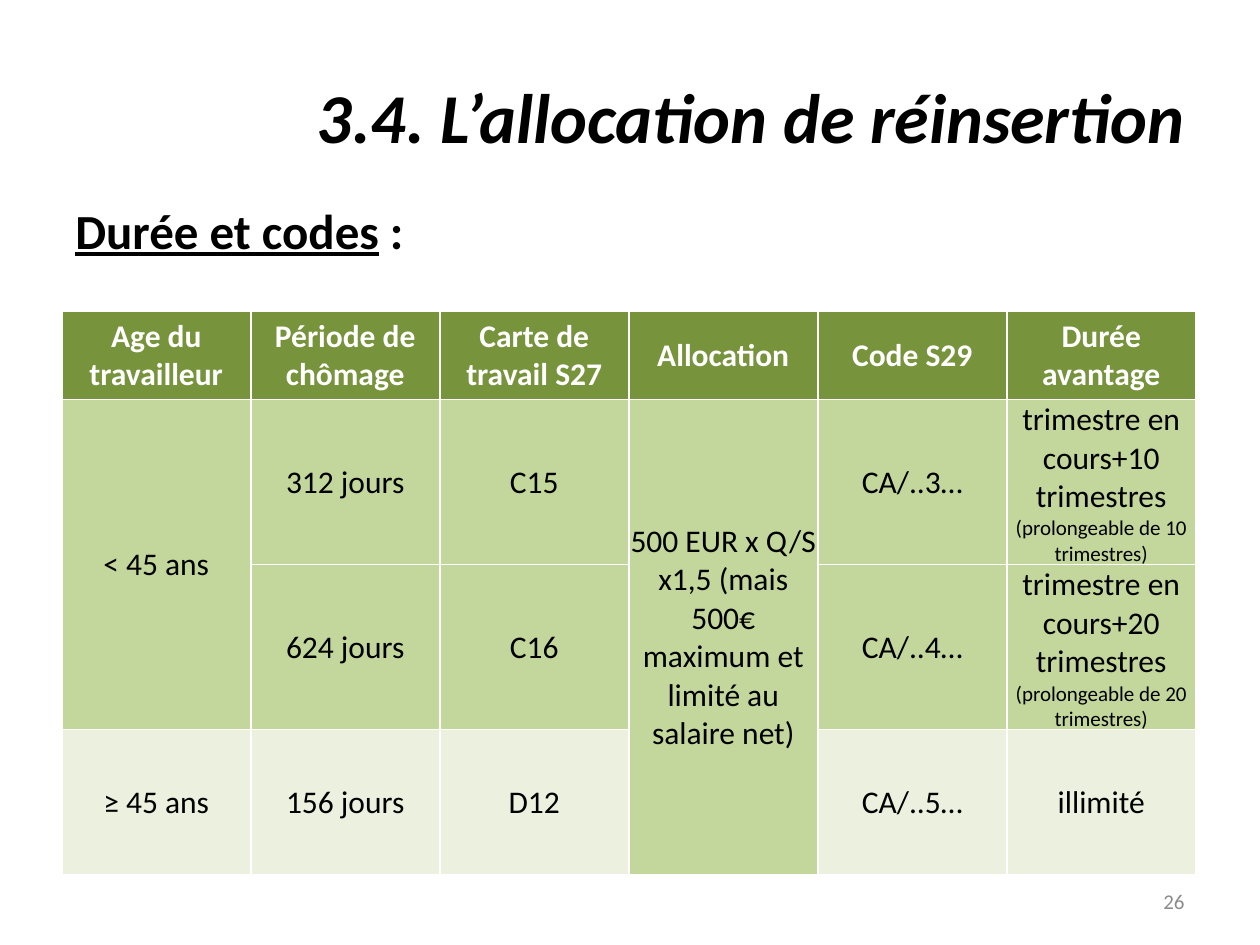
import pptx
import pptx.dml.color
import pptx.enum.text
import pptx.oxml
import pptx.oxml.ns
import pptx.util

Inches = pptx.util.Inches
Align = pptx.enum.text.PP_ALIGN
Anchor = pptx.enum.text.MSO_ANCHOR

# Content: a cell is a list of (text, size) runs, None lies under a merged cell
TITLE = "3.4. L’allocation de réinsertion"
HEAD = ["Age du travailleur", "Période de chômage", "Carte de travail S27",
        "Allocation", "Code S29", "Durée avantage"]
PAY = "500 EUR x Q/S x1,5 (mais 500€ maximum et limité au salaire net)"
BODY = [
    ["< 45 ans", "312 jours", "C15", PAY, "CA/..3…",
     ("trimestre en cours+10 trimestres ", "(prolongeable de 10 trimestres)")],
    [None, "624 jours", "C16", None, "CA/..4…",
     ("trimestre en cours+20 trimestres ", "(prolongeable de 20 trimestres)")],
    ["≥ 45 ans", "156 jours", "D12", None, "CA/..5…", "illimité"],
]
FILLS = ["77933C", "C3D69B", "C3D69B", "EBF1DE"]
HIGHS = [0.7, 1.22, 1.22, 1.15]
WIDE = 1.5
SPANS = [((1, 0), (2, 0)), ((1, 3), (3, 3))]


def color(code):
    return pptx.dml.color.RGBColor.from_string(code)


def style(run, size, code="000000", bold=False, italic=False, under=False):
    font = run.font
    font.name, font.size = "Calibri", pptx.util.Pt(size)
    font.bold, font.italic, font.underline = bold, italic, under
    font.color.rgb = color(code)


def label(slide, area, text, align, anchor):
    box = slide.shapes.add_textbox(*map(Inches, area))
    frame = box.text_frame
    frame.word_wrap = True
    frame.vertical_anchor = anchor
    frame.text = text
    para = frame.paragraphs[0]
    para.alignment = align
    return para


def border(cell):
    props = cell._tc.get_or_add_tcPr()
    space = pptx.oxml.ns.nsdecls("a")
    for spot, side in enumerate("LRTB"):
        props.insert(spot, pptx.oxml.parse_xml(
            f'<a:ln{side} {space} w="12700"><a:solidFill>'
            f'<a:srgbClr val="FFFFFF"/></a:solidFill></a:ln{side}>'))


def fill_cell(cell, text, back, head):
    cell.fill.solid()
    cell.fill.fore_color.rgb = color(back)
    border(cell)
    cell.vertical_anchor = Anchor.MIDDLE
    cell.margin_left = cell.margin_right = cell.margin_top = Inches(0.01)
    cell.margin_bottom = 0
    if text is None:
        return
    parts = (text,) if isinstance(text, str) else text
    para = cell.text_frame.paragraphs[0]
    para.alignment = Align.CENTER
    for part, size in zip(parts, (18, 12)):
        run = para.add_run()
        run.text = part
        style(run, size, "FFFFFF" if head else "000000", bold=head)


def main():
    deck = pptx.Presentation()
    deck.slide_width, deck.slide_height = Inches(10), Inches(7.5)
    slide = deck.slides.add_slide(deck.slide_layouts[6])

    # Title and page number
    para = label(slide, (0.5, 0.29, 9, 1.25), TITLE, Align.RIGHT, Anchor.MIDDLE)
    style(para.runs[0], 40, bold=True, italic=True)
    para = label(slide, (7.17, 6.95, 2.33, 0.4), "26", Align.RIGHT, Anchor.MIDDLE)
    style(para.runs[0], 12, "8C8C8C")

    # Table
    rows = [HEAD] + BODY
    grid = slide.shapes.add_table(
        len(rows), len(HEAD), Inches(0.49), Inches(2.47),
        Inches(WIDE * len(HEAD)), Inches(sum(HIGHS))).table
    for col in grid.columns:
        col.width = Inches(WIDE)
    for r, texts in enumerate(rows):
        grid.rows[r].height = Inches(HIGHS[r])
        for c, text in enumerate(texts):
            fill_cell(grid.cell(r, c), text, FILLS[r], r == 0)
    for first, last in SPANS:
        grid.cell(*first).merge(grid.cell(*last))

    # Subtitle
    para = label(slide, (0.5, 1.54, 4.66, 0.57), "Durée et codes",
                 Align.LEFT, Anchor.TOP)
    style(para.runs[0], 28, bold=True, under=True)
    colon = para.add_run()
    colon.text = " :"
    style(colon, 28, bold=True)

    deck.save("out.pptx")


if __name__ == "__main__":
    main()
